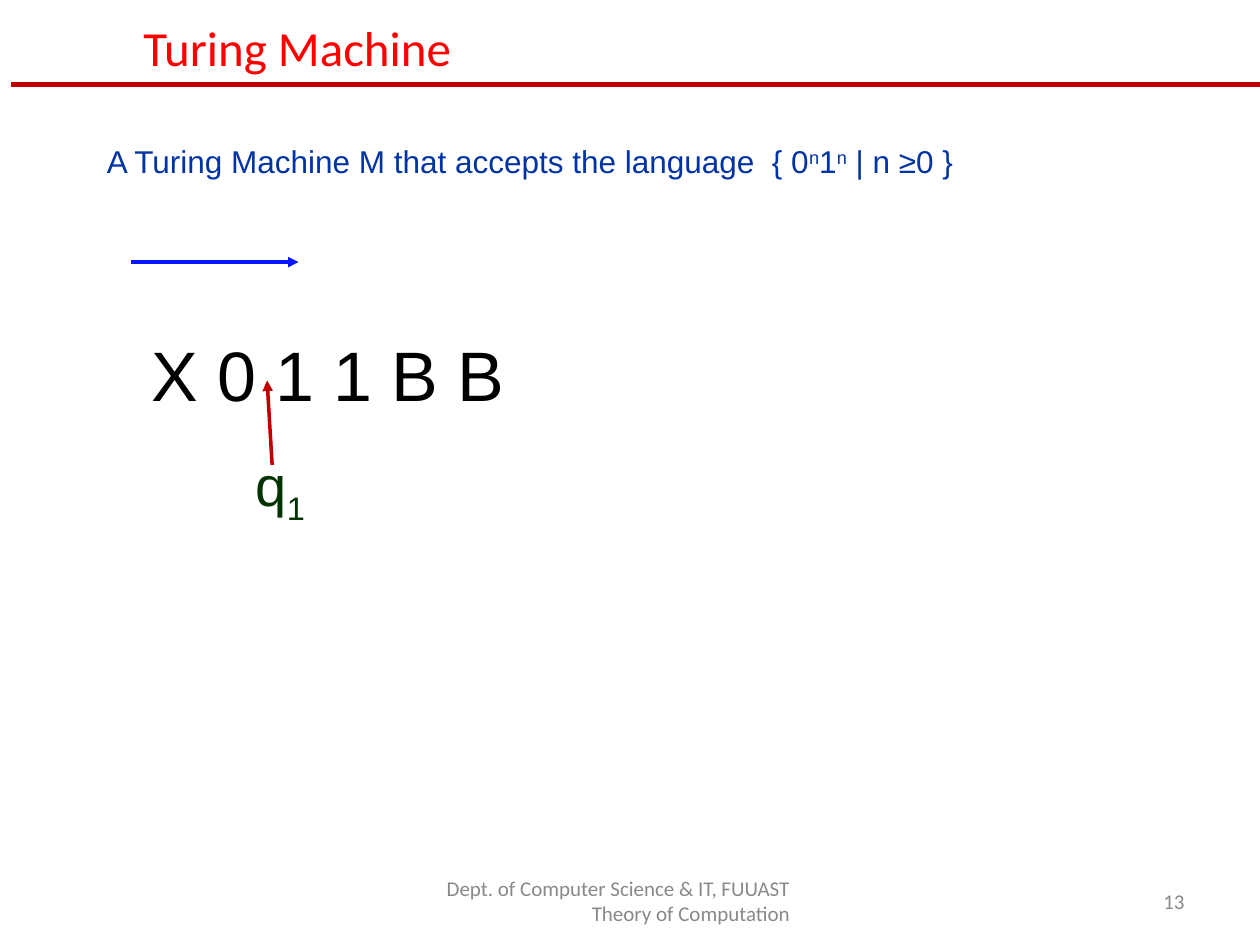
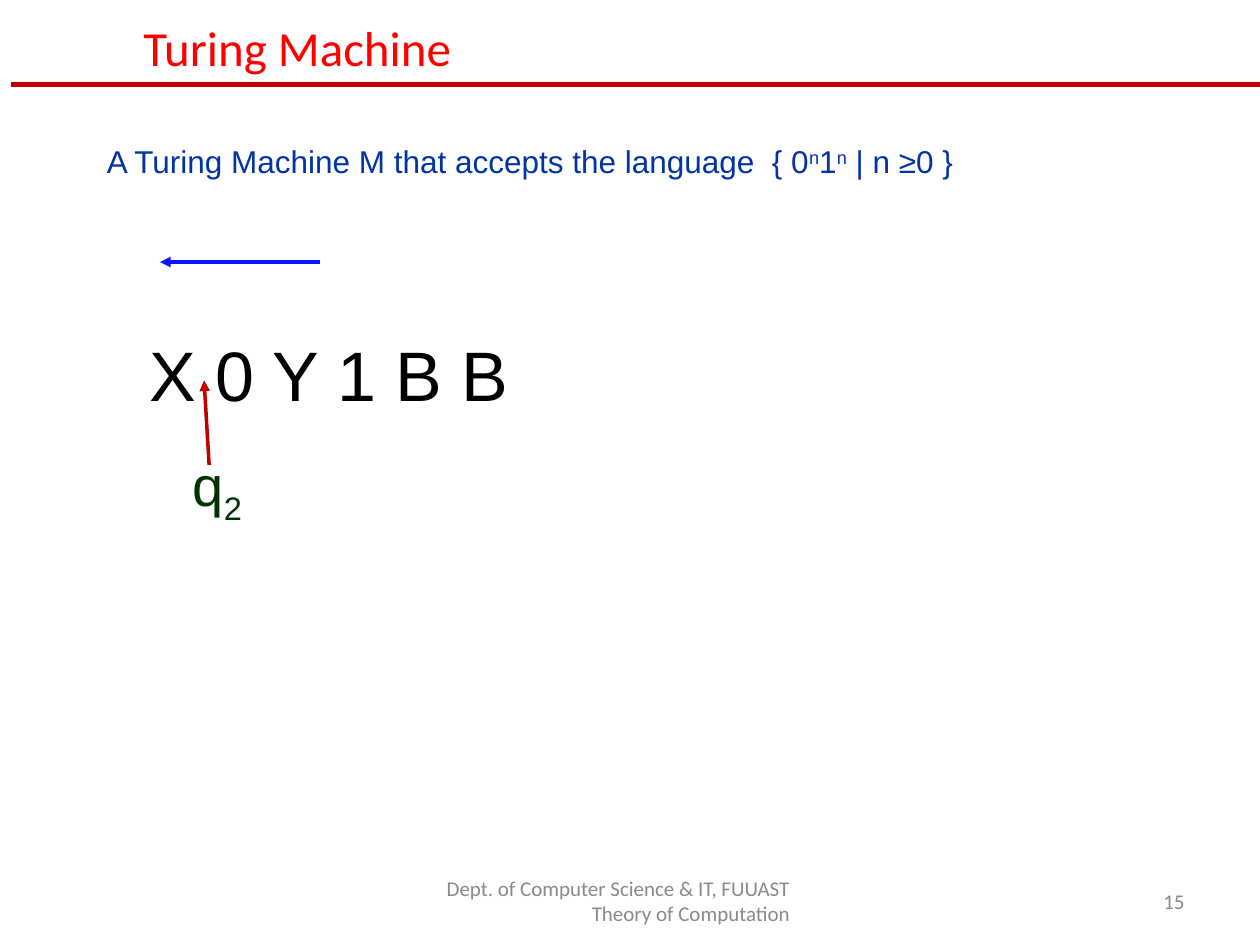
from lxml import etree
from pptx import Presentation
from pptx import util as u
from pptx.dml.color import RGBColor
from pptx.enum import shapes, text
from pptx.oxml import ns

COLORS = {
    "title": "FF0000",
    "rule": "C00000",
    "statement": "0033A4",
    "move": "0814FE",
    "tape": "000000",
    "state": "003300",
    "footer": "898989",
}
STYLES = {
    "title": {"name": "Calibri", "size": u.Pt(28)},
    "statement": {"name": "Arial", "size": u.Pt(18)},
    "tape": {"name": "Arial", "size": u.Pt(40)},
    "state": {"name": "Arial", "size": u.Pt(32)},
    "footer": {"name": "Calibri", "size": u.Pt(12)},
}
WIDTH, HEIGHT = u.Inches(10), u.Inches(7.5)
COLUMNS, ROWS = 100, 75  # square grid cells
SUPERSCRIPT, SUBSCRIPT = 30, -25
MIDDLE = {"vertical_anchor": text.MSO_ANCHOR.MIDDLE}
UNWRAPPED = {"word_wrap": False, "auto_size": text.MSO_AUTO_SIZE.SHAPE_TO_FIT_TEXT}

STATEMENT = [
    ("A Turing Machine M that accepts the language  { 0", 0),
    ("n", SUPERSCRIPT),
    ("1", 0),
    ("n", SUPERSCRIPT),
    (" | n ≥0 }", 0),
]
STEPS = [
    {"number": "13", "tape": "X 0 1 1 B B", "tape_left": 11, "tape_width": 30.1,
     "state": "1", "head": 21.2, "move": (10.4, 23.7)},
    {"number": "15", "tape": "X 0 Y 1 B B", "tape_left": 10.9, "tape_width": 30.7,
     "state": "2", "head": 16.2, "move": (25.4, 12.7)},
]


def column(count):
    return int(WIDTH * count / COLUMNS)


def row(count):
    return int(HEIGHT * count / ROWS)


def add_text(parent, place, runs, style, align=text.PP_ALIGN.LEFT, **frame_format):
    """Put (text, baseline) runs in a box at (left, top, width, height) in grid cells."""
    left, top, width, height = place
    box = parent.add_textbox(column(left), row(top), column(width), row(height))
    frame = box.text_frame
    for name, value in {"word_wrap": True, **frame_format}.items():
        setattr(frame, name, value)
    paragraph = frame.paragraphs[0]
    paragraph.alignment = align
    for words, baseline in runs:
        run = paragraph.add_run()
        run.text = words
        for name, value in STYLES[style].items():
            setattr(run.font, name, value)
        run.font.color.rgb = RGBColor.from_string(COLORS[style])
        if baseline:
            run.font._element.set("baseline", str(baseline * 1000))


def add_line(parent, start, end, color, points, arrow=False):
    line = parent.add_connector(
        shapes.MSO_CONNECTOR.STRAIGHT,
        column(start[0]), row(start[1]), column(end[0]), row(end[1]))
    line.line.color.rgb = RGBColor.from_string(COLORS[color])
    line.line.width = u.Pt(points)
    if arrow:
        etree.SubElement(line.line._get_or_add_ln(), ns.qn("a:tailEnd"), type="triangle")
    etree.SubElement(line._element.spPr, ns.qn("a:effectLst"))


def add_frame(slide, number):
    """Title, red rule and footers shared by all slides."""
    add_text(slide.shapes, (34.2, 69.5, 31.7, 4),
             [("Dept. of Computer Science & IT, FUUAST Theory of Computation", 0)],
             "footer", text.PP_ALIGN.RIGHT, margin_left=0, margin_right=column(3.2), **MIDDLE)
    add_text(slide.shapes, (71.7, 69.5, 23.3, 4), [(number, 0)],
             "footer", text.PP_ALIGN.RIGHT, **MIDDLE)
    add_line(slide.shapes, (0.9, 6.7), (COLUMNS, 6.7), "rule", 3.25)
    add_text(slide.shapes, (10.4, 1.7, 68.7, 4.1), [("Turing Machine", 0)], "title", **MIDDLE)


def add_head(slide, head, state):
    """State label with its arrow up to the tape position."""
    group = slide.shapes.add_group_shape()
    add_text(group.shapes, (head - 1.9, 35.3, 5.9, 7.1),
             [("q", 0), (state, SUBSCRIPT)], "state", **UNWRAPPED)
    add_line(group.shapes, (head + 0.4, 36.9), (head, 30.2), "rule", 2, arrow=True)


def add_step(presentation, step):
    slide = presentation.slides.add_slide(presentation.slide_layouts[6])
    add_frame(slide, step["number"])
    add_text(slide.shapes, (7.5, 10.8, 87.5, 4), STATEMENT, "statement")
    add_text(slide.shapes, (step["tape_left"], 25.8, step["tape_width"], 7.7),
             [(step["tape"], 0)], "tape", **UNWRAPPED)
    add_head(slide, step["head"], step["state"])
    # Direction in which the head moves
    start, end = step["move"]
    add_line(slide.shapes, (start, 20.8), (end, 20.8), "move", 2, arrow=True)


def main():
    presentation = Presentation()
    presentation.slide_width, presentation.slide_height = WIDTH, HEIGHT
    for step in STEPS:
        add_step(presentation, step)
    presentation.save("out.pptx")


if __name__ == "__main__":
    main()
